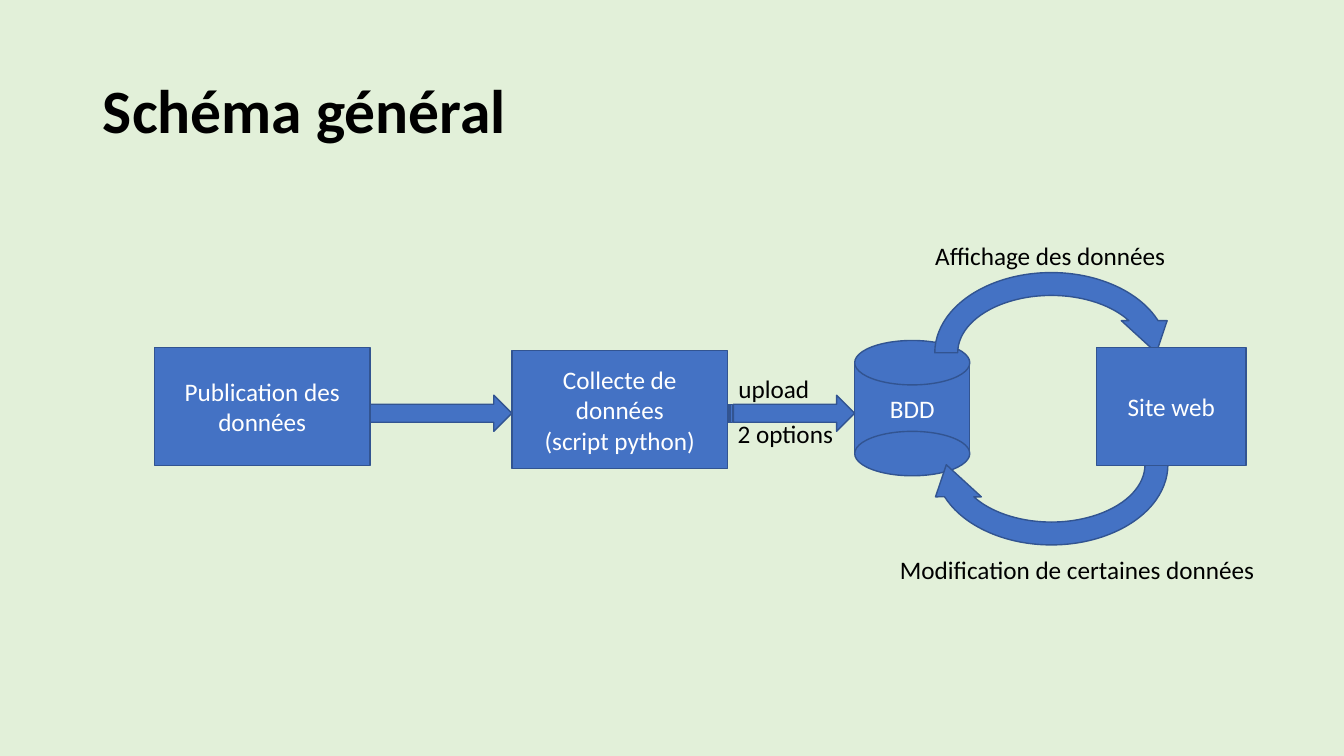
import pptx
import pptx.util
import pptx.dml.color
import pptx.enum.shapes
import pptx.enum.text

Cm = pptx.util.Cm
Pt = pptx.util.Pt
RGBColor = pptx.dml.color.RGBColor
SHAPE = pptx.enum.shapes.MSO_SHAPE
ALIGN = pptx.enum.text.PP_ALIGN
ANCHOR = pptx.enum.text.MSO_ANCHOR

BACKGROUND = RGBColor(0xE2, 0xF0, 0xD9)
BLUE = RGBColor(0x44, 0x72, 0xC4)
OUTLINE = RGBColor(0x32, 0x54, 0x91)
BLACK = RGBColor(0, 0, 0)
WHITE = RGBColor(255, 255, 255)

LOOP_ADJUSTMENTS = (0.125, 11.423, 204.577, 108, 0.125)
STEP_WIDTH, STEP_HEIGHT = 5.44, 2.97
ARROW_TOP, ARROW_HEIGHT = 9.96, 0.91


def write(frame, lines, color, align, size=18, bold=False):
    frame.text = "\n".join(lines)
    for para in frame.paragraphs:
        para.alignment = align
        para.font.name = "Calibri"
        para.font.size = Pt(size)
        para.font.bold = bold
        para.font.color.rgb = color


def add_title(page, text):
    title = page.shapes.title
    title.left, title.top = Cm(2.34), Cm(1.02)
    title.width, title.height = Cm(29.21), Cm(3.68)
    frame = title.text_frame
    frame.vertical_anchor = ANCHOR.MIDDLE
    write(frame, [text], BLACK, ALIGN.LEFT, 44, True)
    frame.paragraphs[0].line_spacing = 0.9


def add_block(shapes, kind, left, top, width, height, *lines):
    block = shapes.add_shape(kind, Cm(left), Cm(top), Cm(width), Cm(height))
    block.shadow.inherit = False
    block.fill.solid()
    block.fill.fore_color.rgb = BLUE
    block.line.color.rgb = OUTLINE
    block.line.width = Pt(1)
    if lines:
        block.text_frame.word_wrap = True
        block.text_frame.vertical_anchor = ANCHOR.MIDDLE
        write(block.text_frame, lines, WHITE, ALIGN.CENTER)
    return block


def add_database(page, left, top, width, height, cap_height, name):
    database = page.shapes.add_group_shape()
    add_block(database.shapes, SHAPE.RECTANGLE, left, top, width, height, name)
    for edge in (top, top + height):
        add_block(database.shapes, SHAPE.OVAL,
                  left, edge - cap_height / 2, width, cap_height)


def add_loop_arrow(page, top, rotation):
    arrow = add_block(page.shapes, SHAPE.CIRCULAR_ARROW, 23.27, top, 6.45, 4.62)
    for index, value in enumerate(LOOP_ADJUSTMENTS):
        arrow.adjustments[index] = value
    arrow.rotation = rotation


def add_label(page, left, top, width, text):
    box = page.shapes.add_textbox(Cm(left), Cm(top), Cm(width), Cm(1.02))
    frame = box.text_frame
    frame.word_wrap = False
    frame.auto_size = pptx.enum.text.MSO_AUTO_SIZE.SHAPE_TO_FIT_TEXT
    write(frame, [text], BLACK, ALIGN.LEFT)


def main():
    deck = pptx.Presentation()
    deck.slide_width, deck.slide_height = Cm(33.87), Cm(19.05)
    page = deck.slides.add_slide(deck.slide_layouts[5])
    page.background.fill.solid()
    page.background.fill.fore_color.rgb = BACKGROUND

    add_title(page, "Schéma général")
    add_database(page, 21.54, 9.14, 2.9, 2.29, 1.12, "BDD")
    add_loop_arrow(page, 6.58, 0)
    add_label(page, 23.32, 5.94, 6.4, "Affichage des données")
    add_loop_arrow(page, 9.4, 180)
    add_label(page, 22.43, 13.84, 9.55, "Modification de certaines données")
    add_block(page.shapes, SHAPE.RECTANGLE,
              27.64, 8.76, 3.76, STEP_HEIGHT, "Site web")
    add_block(page.shapes, SHAPE.RECTANGLE, 12.9, 8.84, STEP_WIDTH, STEP_HEIGHT,
              "Collecte de données", "(script python)")
    add_block(page.shapes, SHAPE.STRIPED_RIGHT_ARROW,
              18.34, ARROW_TOP, 3.2, ARROW_HEIGHT)
    add_label(page, 18.36, 9.27, 2.31, "upload")
    add_block(page.shapes, SHAPE.RECTANGLE, 3.89, 8.76, STEP_WIDTH, STEP_HEIGHT,
              "Publication des données")
    add_block(page.shapes, SHAPE.RIGHT_ARROW,
              9.33, ARROW_TOP, 3.57, ARROW_HEIGHT)
    add_label(page, 18.34, 10.41, 2.95, "2 options")
    deck.save("out.pptx")


if __name__ == "__main__":
    main()
